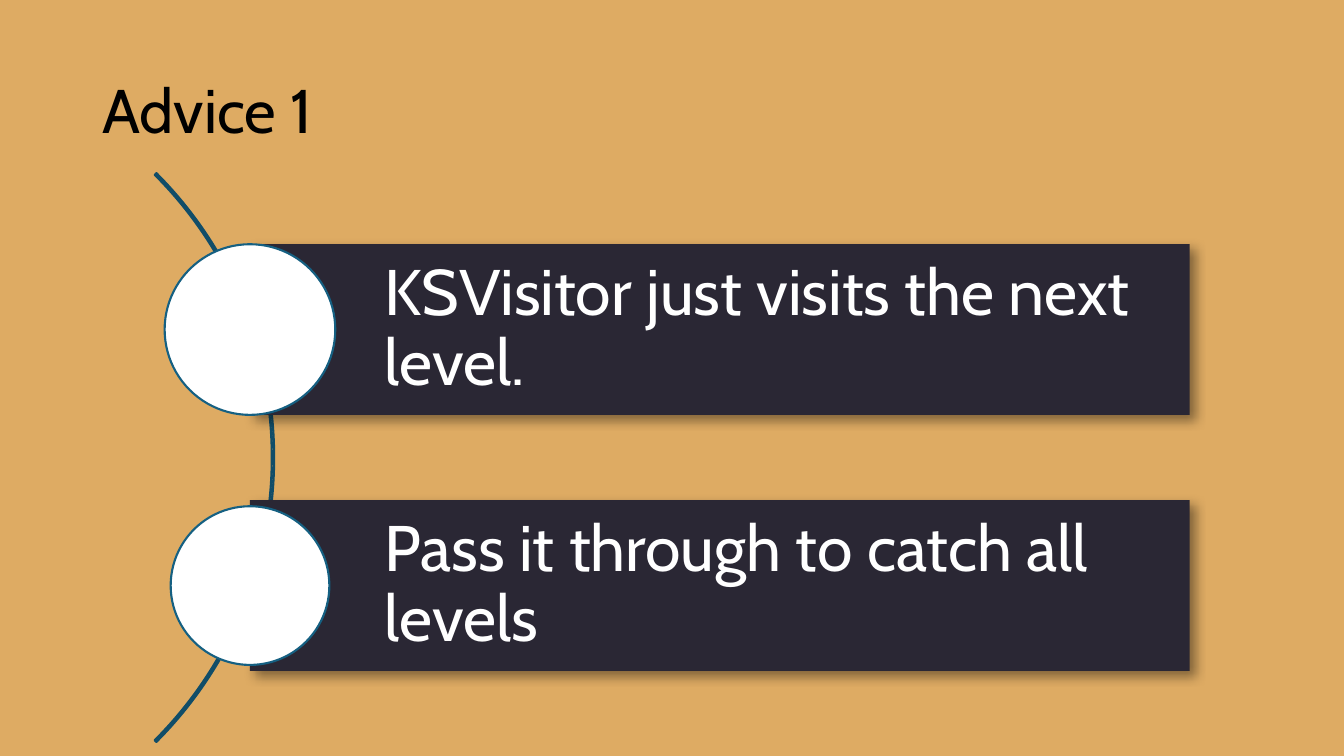
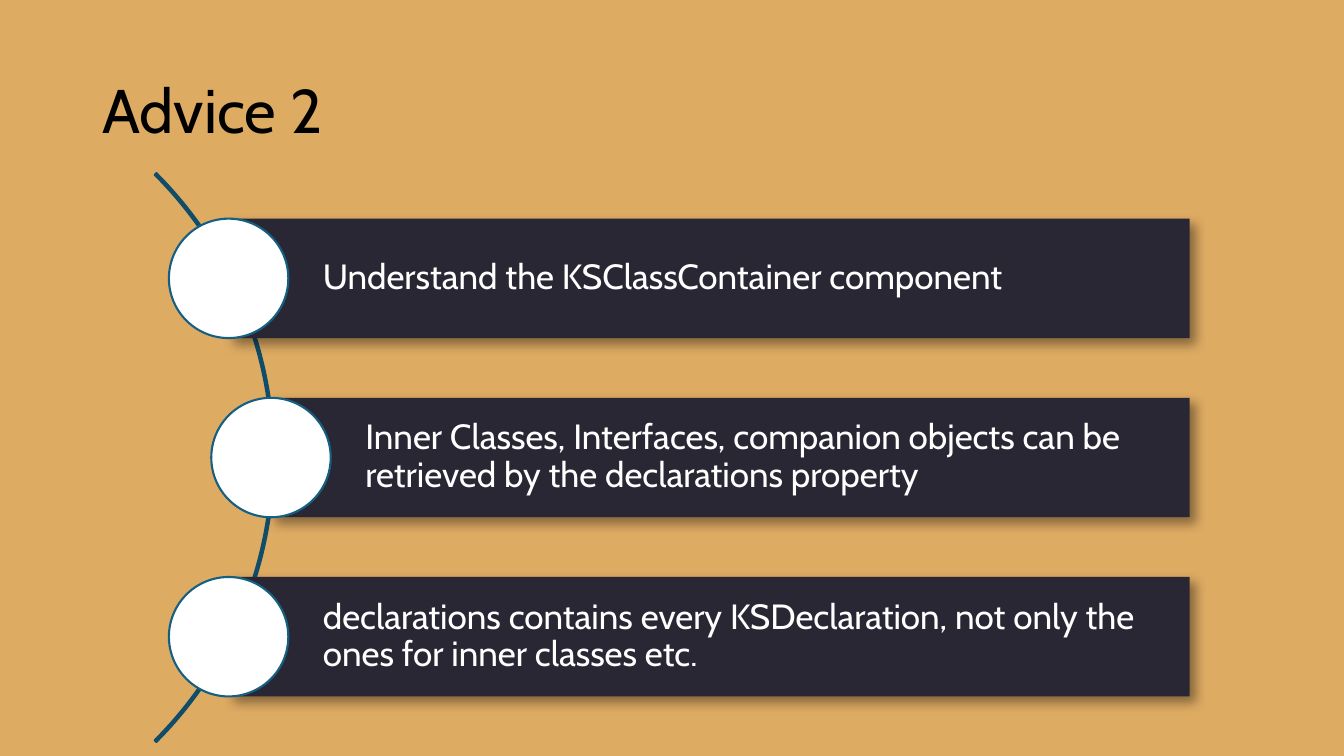
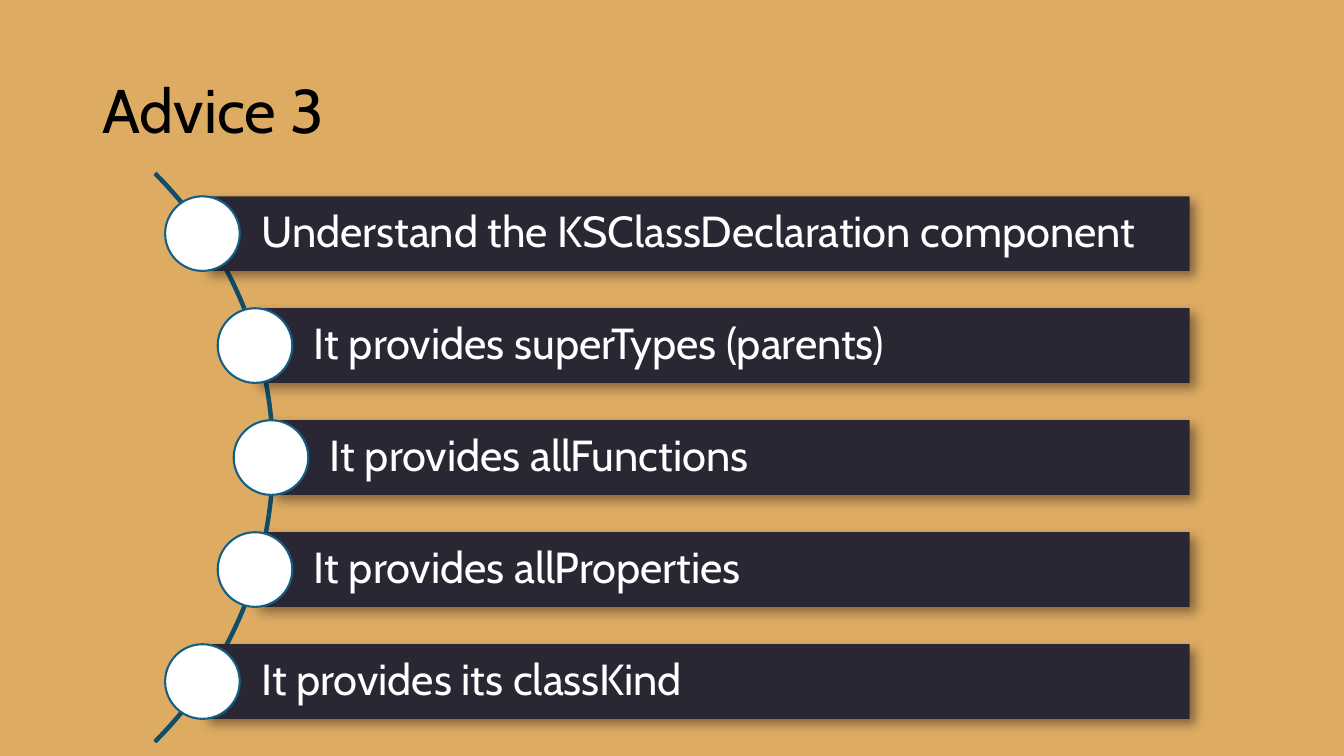
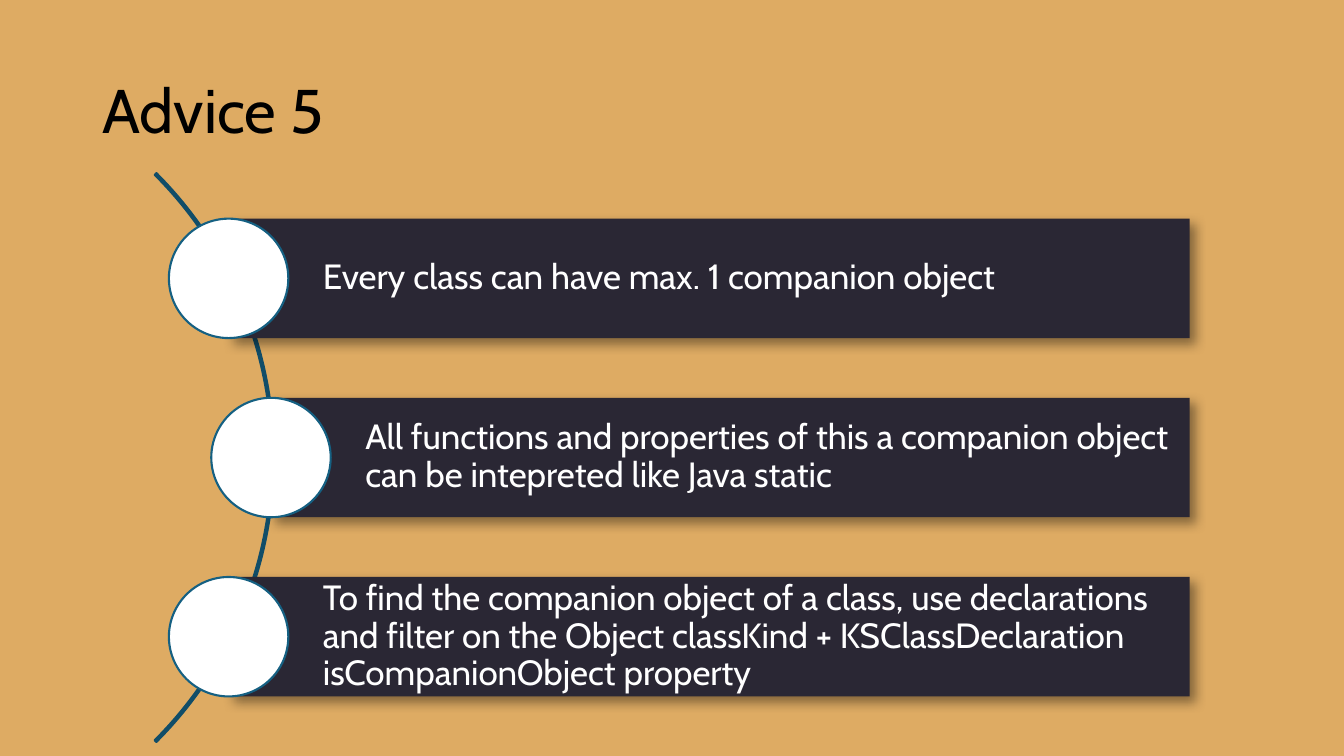
from math import sqrt

from lxml.etree import SubElement
from pptx import Presentation
from pptx.dml.color import RGBColor
from pptx.enum.shapes import MSO_SHAPE
from pptx.enum.text import MSO_ANCHOR, MSO_AUTO_SIZE, PP_ALIGN
from pptx.oxml.ns import qn
from pptx.util import Cm, Pt

SAND = RGBColor(0xDE, 0xAB, 0x63)
NIGHT = RGBColor(0x2A, 0x27, 0x34)
ARC_BLUE = RGBColor(0x11, 0x4D, 0x68)
RING_BLUE = RGBColor(0x15, 0x60, 0x82)
WHITE = RGBColor(0xFF, 0xFF, 0xFF)
BLACK = RGBColor(0x00, 0x00, 0x00)
FONT = "Cabin"
TITLE_ONLY = 5

# Lengths in centimetres
CENTER_X, CENTER_Y = -3.25, 11.53
ARC_LEFT, ARC_DIAMETER = -13.36, 20.27
MARKER_RADIUS = 10.08
LIST_HEIGHT = 15.05
BAR_RIGHT = 29.98

# Title, text size, bar texts, marker sizes relative to the bar height
ADVICES = [
    ("Advice 1", 46, [
        "KSVisitor just visits the next level.",
        "Pass it through to catch all levels",
    ], [1, 0.93]),
    ("Advice 2", 25, [
        "Understand the KSClassContainer component",
        "Inner Classes, Interfaces, companion objects can be retrieved "
        "by the declarations property",
        "declarations contains every KSDeclaration, not only the ones "
        "for inner classes etc.",
    ], [1, 1, 1]),
    ("Advice 3", 31, [
        "Understand the KSClassDeclaration component",
        "It provides superTypes (parents)",
        "It provides allFunctions",
        "It provides allProperties",
        "It provides its classKind",
    ], [1, 1, 1, 1, 1]),
    ("Advice 5", 25, [
        "Every class can have max. 1 companion object",
        "All functions and properties of this a companion object can be "
        "intepreted like Java static",
        "To find the companion object of a class, use declarations and "
        "filter on the Object classKind + KSClassDeclaration "
        "isCompanionObject property",
    ], [1, 1, 1]),
]


def write_text(shape, text, size, color):
    frame = shape.text_frame
    frame.word_wrap = True
    frame.auto_size = MSO_AUTO_SIZE.NONE
    frame.vertical_anchor = MSO_ANCHOR.MIDDLE
    frame.text = text
    paragraph = frame.paragraphs[0]
    paragraph.alignment = PP_ALIGN.LEFT
    paragraph.line_spacing = 0.9
    paragraph.font.name = FONT
    paragraph.font.size = Pt(size)
    paragraph.font.color.rgb = color


def add_figure(slide, kind, left, top, width, height, fill=None, line=None):
    shape = slide.shapes.add_shape(kind, Cm(left), Cm(top), Cm(width), Cm(height))
    shape.shadow.inherit = False
    if fill is None:
        shape.fill.background()
    else:
        shape.fill.solid()
        shape.fill.fore_color.rgb = fill
    if line is None:
        shape.line.fill.background()
    else:
        shape.line.color.rgb = line
        shape.line.width = Pt(1.5)
    return shape


def add_soft_shadow(shape):
    effects = shape._element.spPr.find(qn("a:effectLst"))
    shadow = SubElement(effects, qn("a:outerShdw"), blurRad=str(Pt(8)),
                        dist=str(Pt(5)), dir="2700000", algn="tl", rotWithShape="0")
    color = SubElement(shadow, qn("a:srgbClr"), val=str(BLACK))
    SubElement(color, qn("a:alpha"), val="40000")


def add_arc(slide):
    arc = add_figure(slide, MSO_SHAPE.BLOCK_ARC, ARC_LEFT, CENTER_Y - ARC_DIAMETER / 2,
                     ARC_DIAMETER, ARC_DIAMETER, line=ARC_BLUE)
    for index, value in enumerate((189, 27, 0.003)):
        arc.adjustments[index] = value


def add_bar(slide, left, middle, height, text, size):
    bar = add_figure(slide, MSO_SHAPE.RECTANGLE, left, middle - height / 2,
                     BAR_RIGHT - left, height, fill=NIGHT)
    add_soft_shadow(bar)
    write_text(bar, text, size, WHITE)
    frame = bar.text_frame
    frame.margin_left = Cm(0.79 * height)
    frame.margin_top = frame.margin_right = frame.margin_bottom = Pt(0.2 * size)


def add_marker(slide, center, middle, diameter):
    add_figure(slide, MSO_SHAPE.OVAL, center - diameter / 2, middle - diameter / 2,
               diameter, diameter, fill=WHITE, line=RING_BLUE)


def add_curved_list(slide, texts, size, marker_scales):
    """Stack bars with gaps of half a bar, each starting on the arc."""
    add_arc(slide)
    count = len(texts)
    height = LIST_HEIGHT / (1.5 * count + 0.5)
    for index, (text, scale) in enumerate(zip(texts, marker_scales)):
        offset = (index - (count - 1) / 2) * 1.5 * height
        left = CENTER_X + sqrt(MARKER_RADIUS ** 2 - offset ** 2)
        add_bar(slide, left, CENTER_Y + offset, height, text, size)
        add_marker(slide, left, CENTER_Y + offset, height * scale)


def prepare_layout(presentation):
    background = presentation.slide_master.background.fill
    background.solid()
    background.fore_color.rgb = SAND
    layout = presentation.slide_layouts[TITLE_ONLY]
    title = layout.placeholders[0]
    title.left, title.top = Cm(2.33), Cm(1.01)
    title.width, title.height = Cm(29.21), Cm(3.68)
    return layout


def main():
    presentation = Presentation()
    presentation.slide_width, presentation.slide_height = Cm(33.87), Cm(19.05)
    layout = prepare_layout(presentation)
    for title, size, texts, marker_scales in ADVICES:
        slide = presentation.slides.add_slide(layout)
        write_text(slide.shapes.title, title, 44, BLACK)
        add_curved_list(slide, texts, size, marker_scales)
    presentation.save("out.pptx")


if __name__ == "__main__":
    main()
